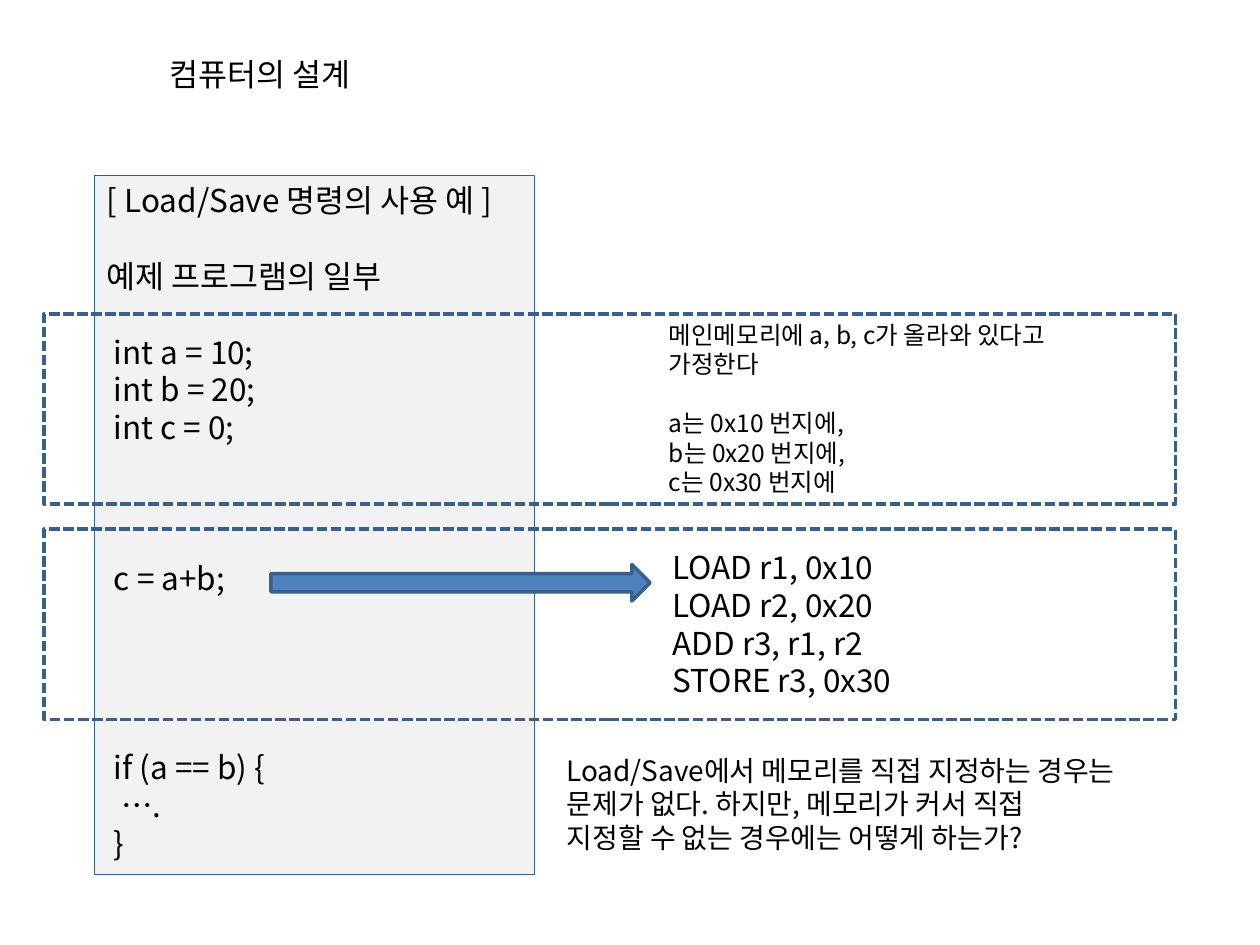
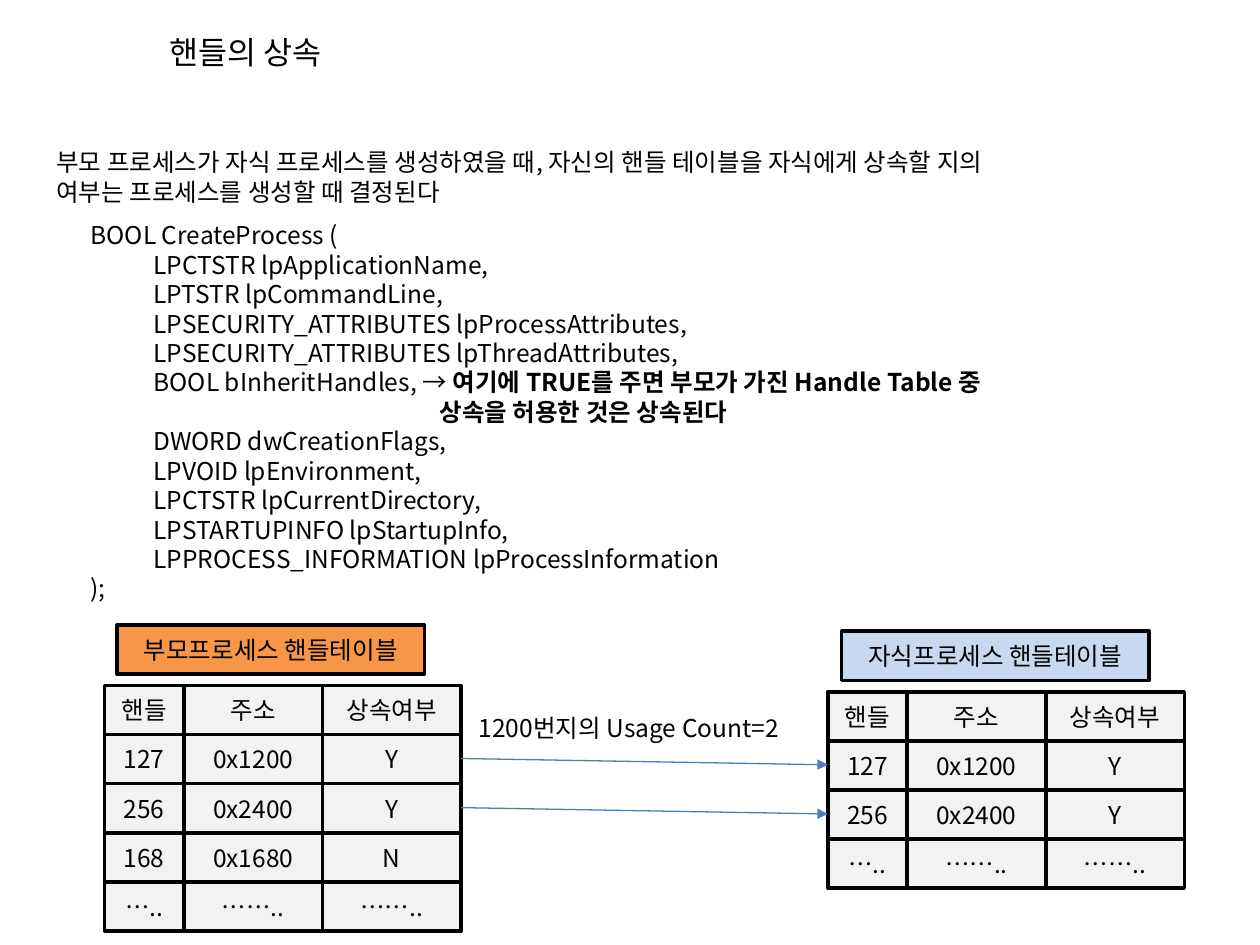
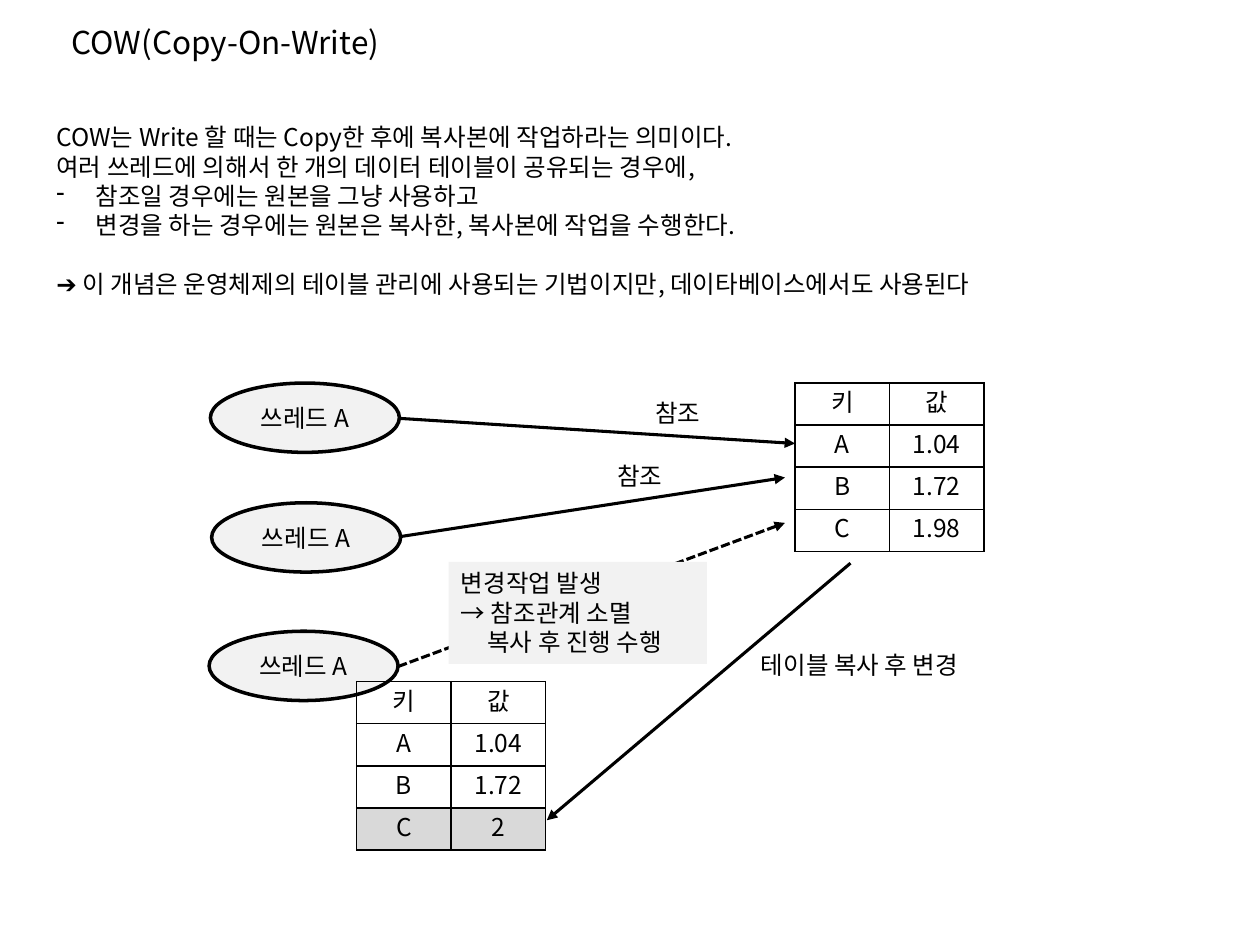
"""Build three lecture slides on loading, handles and copy-on-write."""
from dataclasses import dataclass
from typing import Optional

from lxml import etree
from pptx import Presentation
from pptx import util as u
from pptx.dml.color import RGBColor
from pptx.enum import dml, shapes, text
from pptx.oxml.ns import qn

FONT = "Noto Sans CJK KR"
BLACK = RGBColor(0, 0, 0)
PALE = RGBColor(0xF2, 0xF2, 0xF2)
GRAY = RGBColor(0xD9, 0xD9, 0xD9)
NAVY = RGBColor(0x3A, 0x5F, 0x8C)
BLUE = RGBColor(0x4F, 0x81, 0xBD)
STEEL = RGBColor(0x4B, 0x7E, 0xBC)
ORANGE = RGBColor(0xF7, 0x96, 0x46)
SKY = RGBColor(0xC6, 0xD9, 0xF1)
DASH = dml.MSO_LINE.SQUARE_DOT
RECT = shapes.MSO_SHAPE.RECTANGLE
OVAL = shapes.MSO_SHAPE.OVAL
ARROW = shapes.MSO_SHAPE.RIGHT_ARROW
PITCH = 1.2
ROW = 0.39
COLS = (0.63, 1.1, 1.1)


@dataclass
class Line:
    """One paragraph, with blank lines before it, indent, bullet and bold tail."""
    text: str = ""
    gap: int = 0
    left: float = 0
    mark: str = ""
    bold: str = ""


@dataclass
class Block:
    """A text box, or a preset shape when a kind is given."""
    x: float
    y: float
    w: float
    h: float
    lines: tuple = ()
    size: int = 14
    kind: Optional[shapes.MSO_SHAPE] = None
    fill: Optional[RGBColor] = None
    edge: Optional[RGBColor] = None
    width: float = 2
    dash: bool = False
    mid: bool = False


@dataclass
class Link:
    """An arrow between two points."""
    start: tuple
    end: tuple
    color: RGBColor = BLACK
    width: float = 1.75
    dash: bool = False


def style(para, size: int) -> None:
    """Set the line pitch of a paragraph and the font of its runs."""
    para.line_spacing = u.Pt(size * PITCH)
    for run in para.runs:
        run.font.size = u.Pt(size)
        run.font.color.rgb = BLACK
        run.font.name = FONT
        etree.SubElement(run._r.get_or_add_rPr(), qn("a:ea"), typeface=FONT)


def write(frame, lines: tuple, size: int, mid: bool) -> None:
    """Fill a text frame with lines."""
    for i, line in enumerate(lines):
        if isinstance(line, str):
            line = Line(line)
        para = frame.paragraphs[0] if i == 0 else frame.add_paragraph()
        para.text = line.text
        para.alignment = text.PP_ALIGN.CENTER if mid else text.PP_ALIGN.LEFT
        if line.bold:
            run = para.add_run()
            run.text = line.bold
            run.font.bold = True
        if line.gap:
            para.space_before = u.Pt(size * PITCH * line.gap)
        if line.left:
            props = para._p.get_or_add_pPr()
            props.set("marL", str(u.Inches(line.left)))
            props.set("indent", str(u.Inches(-line.left) if line.mark else 0))
            if line.mark:
                etree.SubElement(props, qn("a:buChar"), char=line.mark)
        style(para, size)


def draw(slide, block: Block) -> None:
    """Draw a block."""
    place = [u.Inches(n) for n in (block.x, block.y, block.w, block.h)]
    if block.kind is None:
        shape = slide.shapes.add_textbox(*place)
    else:
        shape = slide.shapes.add_shape(block.kind, *place)
        shape.shadow.inherit = False
        if block.fill is None:
            shape.fill.background()
        else:
            shape.fill.solid()
            shape.fill.fore_color.rgb = block.fill
        if block.edge is None:
            shape.line.fill.background()
        else:
            shape.line.color.rgb = block.edge
            shape.line.width = u.Pt(block.width)
            if block.dash:
                shape.line.dash_style = DASH
    if block.lines:
        frame = shape.text_frame
        frame.word_wrap = block.mid
        if block.mid:
            frame.vertical_anchor = text.MSO_ANCHOR.MIDDLE
        else:
            frame.vertical_anchor = text.MSO_ANCHOR.TOP
            frame.auto_size = text.MSO_AUTO_SIZE.SHAPE_TO_FIT_TEXT
        write(frame, block.lines, block.size, block.mid)


def join(slide, link: Link) -> None:
    """Draw an arrow."""
    ends = [u.Inches(n) for n in (*link.start, *link.end)]
    wire = slide.shapes.add_connector(shapes.MSO_CONNECTOR.STRAIGHT, *ends)
    wire.line.color.rgb = link.color
    wire.line.width = u.Pt(link.width)
    if link.dash:
        wire.line.dash_style = DASH
    etree.SubElement(wire.line._get_or_add_ln(), qn("a:tailEnd"), type="triangle")
    etree.SubElement(wire._element.spPr, qn("a:effectLst"))


def label(x: float, y: float, w: float, *lines, h: float = 0.34) -> Block:
    """Make a small text box."""
    return Block(x, y, w, h, lines)


def title(slide, x: float, y: float, w: float, words: str) -> None:
    """Draw the heading of a slide."""
    draw(slide, Block(x, y, w, 0.4, (words,), 18))


def cell(x: float, y: float, w: float, words: str, fill: RGBColor = PALE,
         kind=RECT, h: float = ROW) -> Block:
    """Make a black-edged shape with centred text."""
    return Block(x, y, w, h, (words,), 14, kind, fill, BLACK, mid=True)


def handles(slide, x: float, y: float, rows: tuple) -> None:
    """Draw a handle grid out of cells."""
    for i, row in enumerate(rows):
        for j, words in enumerate(row):
            draw(slide, cell(x + sum(COLS[:j]), y + ROW * i, COLS[j], words))


def pairs(slide, x: float, y: float, last: str, fill: Optional[RGBColor] = None) -> None:
    """Draw a key and value table whose last row may be shaded."""
    rows = (("키", "값"), ("A", "1.04"), ("B", "1.72"), ("C", last))
    place = [u.Inches(n) for n in (x, y, 1.5, 1.33)]
    table = slide.shapes.add_table(len(rows), 2, *place).table
    table.first_row = table.horz_banding = False
    for i, row in enumerate(rows):
        for j, words in enumerate(row):
            box = table.cell(i, j)
            write(box.text_frame, (words,), 14, True)
            props = box._tc.get_or_add_tcPr()
            for side in ("lnL", "lnR", "lnT", "lnB"):
                edge = etree.SubElement(props, qn("a:" + side), w=str(u.Pt(1)))
                paint = etree.SubElement(edge, qn("a:solidFill"))
                etree.SubElement(paint, qn("a:srgbClr"), val=str(BLACK))
            if fill is not None and i == len(rows) - 1:
                box.fill.solid()
                box.fill.fore_color.rgb = fill
            else:
                box.fill.background()


def design(slide) -> None:
    """Build the slide on load and save commands."""
    title(slide, 1.25, 0.39, 1.81, "컴퓨터의 설계")
    code = (
        "[ Load/Save 명령의 사용 예 ]",
        Line("예제 프로그램의 일부", gap=1),
        Line(" int a = 10;", gap=1),
        " int b = 20;",
        " int c = 0;",
        Line(" c = a+b;", gap=3),
        Line(" if (a == b) {", gap=4),
        "  ….",
        " }",
    )
    draw(slide, Block(0.75, 1.39, 3.49, 5.55, code, 18, RECT, PALE, NAVY, 0.75))
    steps = ("LOAD r1, 0x10", "LOAD r2, 0x20", "ADD r3, r1, r2", "STORE r3, 0x30")
    draw(slide, Block(5.24, 4.3, 1.94, 1.31, steps, 18))
    draw(slide, label(
        5.21, 2.49, 3.51,
        "메인메모리에 a, b, c가 올라와 있다고",
        "가정한다",
        Line("a는 0x10 번지에,", gap=1),
        "b는 0x20 번지에,",
        "c는 0x30 번지에",
        h=1.51))
    for y in (2.49, 4.2):
        draw(slide, Block(0.35, y, 8.98, 1.51, kind=RECT, edge=NAVY, dash=True))
    ask = (
        "Load/Save에서 메모리를 직접 지정하는 경우는",
        "문제가 없다. 하지만, 메모리가 커서 직접",
        "지정할 수 없는 경우에는 어떻게 하는가?",
    )
    draw(slide, Block(4.4, 5.93, 4.93, 1.18, ask, 16))
    draw(slide, Block(2.15, 4.48, 3.01, 0.29, kind=ARROW, fill=BLUE, edge=NAVY))


def inherit(slide) -> None:
    """Build the slide on handle inheritance."""
    title(slide, 1.25, 0.21, 1.55, "핸들의 상속")
    draw(slide, label(
        0.35, 1.12, 8.46,
        "부모 프로세스가 자식 프로세스를 생성하였을 때, 자신의 핸들 테이블을 자식에게 상속할 지의",
        "여부는 프로세스를 생성할 때 결정된다",
        h=0.57))
    draw(slide, label(
        0.62, 1.7, 8.19,
        "BOOL CreateProcess (",
        "\tLPCTSTR lpApplicationName,",
        "\tLPTSTR lpCommandLine,",
        "\tLPSECURITY_ATTRIBUTES lpProcessAttributes,",
        "\tLPSECURITY_ATTRIBUTES lpThreadAttributes,",
        Line("\tBOOL bInheritHandles, → ",
             bold="여기에 TRUE를 주면 부모가 가진 Handle Table 중"),
        Line(left=2.77, bold="상속을 허용한 것은 상속된다"),
        "\tDWORD dwCreationFlags,",
        "\tLPVOID lpEnvironment,",
        "\tLPCTSTR lpCurrentDirectory,",
        "\tLPSTARTUPINFO lpStartupInfo,",
        "\tLPPROCESS_INFORMATION lpProcessInformation",
        ");",
        h=3.16))
    shared = (("핸들", "주소", "상속여부"), ("127", "0x1200", "Y"), ("256", "0x2400", "Y"))
    more = (("…..", "……..", "…….."),)
    handles(slide, 0.83, 5.44, shared + (("168", "0x1680", "N"),) + more)
    draw(slide, cell(0.93, 4.96, 2.44, "부모프로세스 핸들테이블", ORANGE))
    handles(slide, 6.57, 5.49, shared + more)
    draw(slide, cell(6.68, 5.01, 2.44, "자식프로세스 핸들테이블", SKY))
    for y in (6.02, 6.02 + ROW):
        join(slide, Link((3.66, y), (6.57, y + 0.05), STEEL, 0.75))
    draw(slide, label(3.7, 5.61, 2.69, "1200번지의 Usage Count=2"))


def cow(slide) -> None:
    """Build the slide on copy-on-write."""
    title(slide, 0.47, 0.13, 2.69, "COW(Copy-On-Write)")
    draw(slide, label(
        0.35, 0.92, 8.27,
        "COW는 Write 할 때는 Copy한 후에 복사본에 작업하라는 의미이다.",
        "여러 쓰레드에 의해서 한 개의 데이터 테이블이 공유되는 경우에,",
        Line("참조일 경우에는 원본을 그냥 사용하고", left=0.31, mark="-"),
        Line("변경을 하는 경우에는 원본은 복사한, 복사본에 작업을 수행한다.", left=0.31, mark="-"),
        Line("➔ 이 개념은 운영체제의 테이블 관리에 사용되는 기법이지만, 데이타베이스에서도 사용된다", gap=1),
        h=1.51))
    pairs(slide, 6.31, 3.04, "1.98")
    for x, y in ((1.67, 3.04), (1.68, 3.99), (1.66, 5.01)):
        draw(slide, cell(x, y, 1.5, "쓰레드 A", kind=OVAL, h=0.55))
    join(slide, Link((3.16, 3.32), (6.31, 3.52)))
    join(slide, Link((3.17, 4.26), (6.23, 3.79)))
    join(slide, Link((3.16, 5.29), (6.23, 4.15), dash=True))
    pairs(slide, 2.83, 5.41, "2", GRAY)
    join(slide, Link((6.75, 4.47), (4.34, 6.51)))
    draw(slide, label(5.1, 3.11, 0.59, "참조"))
    draw(slide, label(4.8, 3.61, 0.59, "참조"))
    event = ("변경작업 발생", "→ 참조관계 소멸", Line("복사 후 진행 수행", left=0.21))
    draw(slide, Block(3.56, 4.46, 2.05, 0.81, event, kind=RECT, fill=PALE))
    draw(slide, label(5.94, 5.11, 1.98, "테이블 복사 후 변경"))


def main() -> None:
    """Build and save the deck."""
    deck = Presentation()
    deck.slide_width, deck.slide_height = u.Inches(10), u.Inches(7.5)
    for build in (design, inherit, cow):
        build(deck.slides.add_slide(deck.slide_layouts[6]))
    deck.save("out.pptx")


if __name__ == "__main__":
    main()
